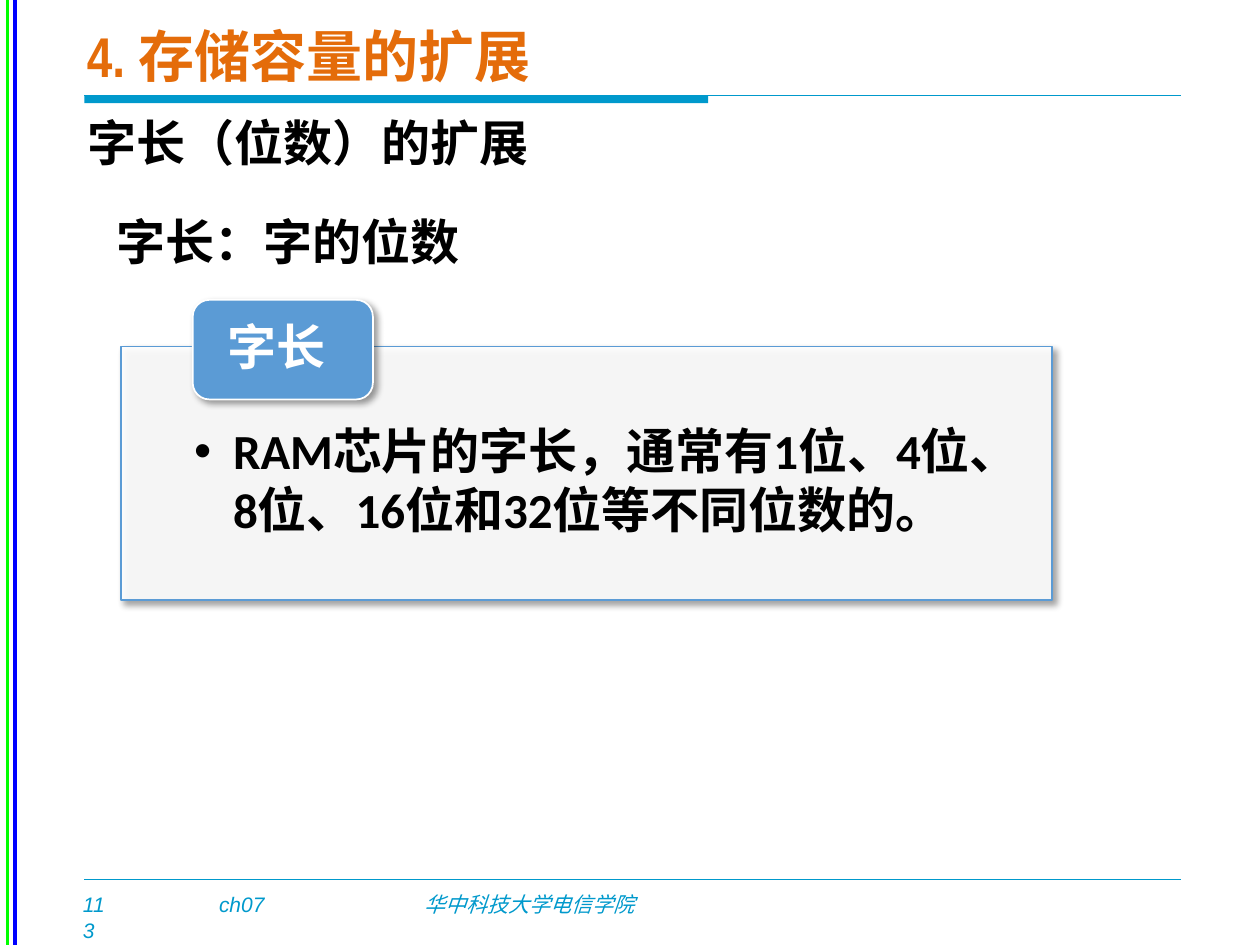
from dataclasses import dataclass

from lxml.etree import SubElement
from pptx import Presentation
from pptx.dml.color import RGBColor
from pptx.enum.shapes import MSO_CONNECTOR, MSO_SHAPE
from pptx.enum.text import MSO_ANCHOR, MSO_AUTO_SIZE, PP_ALIGN
from pptx.oxml.ns import qn
from pptx.util import Inches, Pt


@dataclass(frozen=True)
class Theme:
    white: str = "FFFFFF"
    black: str = "000000"
    teal: str = "0099CC"
    blue: str = "0000FF"
    green: str = "00FF00"
    orange: str = "E46C0A"
    card: str = "5B9BD5"
    cjk: str = "Noto Sans CJK SC"
    latin: str = "Calibri"
    small: int = 12
    body: int = 28
    title: int = 32


@dataclass(frozen=True)
class Box:
    left: float
    top: float
    width: float
    height: float

    def emu(self) -> tuple:
        return tuple(map(Inches, (self.left, self.top, self.width, self.height)))


@dataclass(frozen=True)
class Rule:
    start: tuple
    end: tuple
    color: str
    width: float


@dataclass(frozen=True)
class Label:
    text: str
    box: Box
    font: str
    size: int
    color: str
    bold: bool = True
    italic: bool = False
    space: float = 1.0
    inset: tuple = (0.1, 0.05, 0.1, 0.05)
    anchor: MSO_ANCHOR = MSO_ANCHOR.TOP


T = Theme()


def rgb(color: str) -> RGBColor:
    return RGBColor.from_string(color)


def write(shape, label: Label, bullet: float = 0) -> None:
    """Fill a shape with one styled paragraph."""
    frame = shape.text_frame
    frame.text = label.text
    frame.word_wrap = True
    frame.auto_size = MSO_AUTO_SIZE.NONE
    frame.vertical_anchor = label.anchor
    (frame.margin_left, frame.margin_top,
     frame.margin_right, frame.margin_bottom) = map(Inches, label.inset)
    para = frame.paragraphs[0]
    para.alignment = PP_ALIGN.LEFT
    para.line_spacing = label.space
    if bullet:
        props = para._p.get_or_add_pPr()
        props.set("marL", str(Inches(bullet)))
        props.set("indent", str(-Inches(bullet)))
        SubElement(props, qn("a:buFont"), typeface="Arial")
        SubElement(props, qn("a:buChar"), char="•")
    for run in para.runs:
        font = run.font
        font.name, font.size = label.font, Pt(label.size)
        font.bold, font.italic = label.bold, label.italic
        font.color.rgb = rgb(label.color)
        SubElement(run._r.get_or_add_rPr(), qn("a:ea"), typeface=T.cjk)


def add_text(slide, label: Label, bullet: float = 0) -> None:
    write(slide.shapes.add_textbox(*label.box.emu()), label, bullet)


def add_rule(slide, rule: Rule) -> None:
    line = slide.shapes.add_connector(
        MSO_CONNECTOR.STRAIGHT, *map(Inches, rule.start + rule.end))
    line.line.color.rgb = rgb(rule.color)
    line.line.width = Pt(rule.width)
    SubElement(line._element.spPr, qn("a:effectLst"))


def add_panel(slide, kind: MSO_SHAPE, box: Box, fill: str, edge: str):
    """Draw a filled shape, outlined when an edge colour is given."""
    panel = slide.shapes.add_shape(kind, *box.emu())
    panel.shadow.inherit = False
    panel.fill.solid()
    panel.fill.fore_color.rgb = rgb(fill)
    if edge:
        panel.line.color.rgb = rgb(edge)
        panel.line.width = Pt(1)
    else:
        panel.line.fill.background()
    return panel


def add_shadow(panel) -> None:
    effects = panel._element.spPr.find(qn("a:effectLst"))
    outer = SubElement(effects, qn("a:outerShdw"), blurRad=str(Pt(4)),
                       dist=str(Pt(3)), dir=str(45 * 60000), rotWithShape="0")
    color = SubElement(outer, qn("a:srgbClr"), val=T.black)
    SubElement(color, qn("a:alpha"), val="40000")


def main() -> None:
    deck = Presentation()
    deck.slide_width, deck.slide_height = Inches(10), Inches(7.5)
    slide = deck.slides.add_slide(deck.slide_layouts[5])

    # Side stripes, footer rule and title rule
    left, right = 0.67, 9.37
    for rule in (
        Rule((0.12, 0), (0.12, 7.5), T.blue, 2),
        Rule((0.06, 0), (0.06, 7.5), T.green, 2),
        Rule((left, 6.98), (right, 6.98), T.teal, 1),
        Rule((left, 0.76), (right, 0.76), T.teal, 0.5),
    ):
        add_rule(slide, rule)
    add_panel(slide, MSO_SHAPE.RECTANGLE, Box(left, 0.76, 4.95, 0.06), T.teal, "")

    # Footer
    for text, x, width in (("113", 0.56, 0.41), ("ch07", 1.64, 0.8),
                           ("华中科技大学电信学院", 3.27, 2.65)):
        add_text(slide, Label(text, Box(x, 7.03, width, 0.3), "Arial", T.small,
                              T.teal, bold=False, italic=True))

    # Title and headings
    head = Label("4. 存储容量的扩展", Box(0.59, 0.08, 8.63, 0.71), "Arial Narrow",
                 T.title, T.orange, anchor=MSO_ANCHOR.MIDDLE)
    title = slide.shapes.title
    title.left, title.top, title.width, title.height = head.box.emu()
    write(title, head)
    add_text(slide, Label("字长（位数）的扩展", Box(0.6, 0.84, 8.74, 0.57), T.cjk,
                          T.body, T.black))
    add_text(slide, Label("字长：字的位数", Box(0.83, 1.58, 6.35, 0.62), T.latin,
                          T.body, T.black, space=1.1))

    # Card with its bullet
    area = Box(0.96, 2.75, 7.39, 2.01)
    card = add_panel(slide, MSO_SHAPE.RECTANGLE, area, T.white, T.card)
    add_shadow(card)
    color = card._element.spPr.find(qn("a:solidFill")).find(qn("a:srgbClr"))
    SubElement(color, qn("a:alpha"), val="90000")
    add_text(slide, Label("RAM芯片的字长，通常有1位、4位、8位、16位和32位等不同位数的。",
                          area, T.latin, T.body, T.black,
                          inset=(0.58, 0.59, 0.58, 0.22)), bullet=0.31)

    # Tab on the card
    tag = Label("字长", Box(1.53, 2.38, 1.43, 0.79), T.cjk, T.body, T.white,
                space=0.9, inset=(0.24, 0, 0.24, 0), anchor=MSO_ANCHOR.MIDDLE)
    tab = add_panel(slide, MSO_SHAPE.ROUNDED_RECTANGLE, tag.box, T.card, T.white)
    add_shadow(tab)
    write(tab, tag)

    deck.save("out.pptx")


if __name__ == "__main__":
    main()
